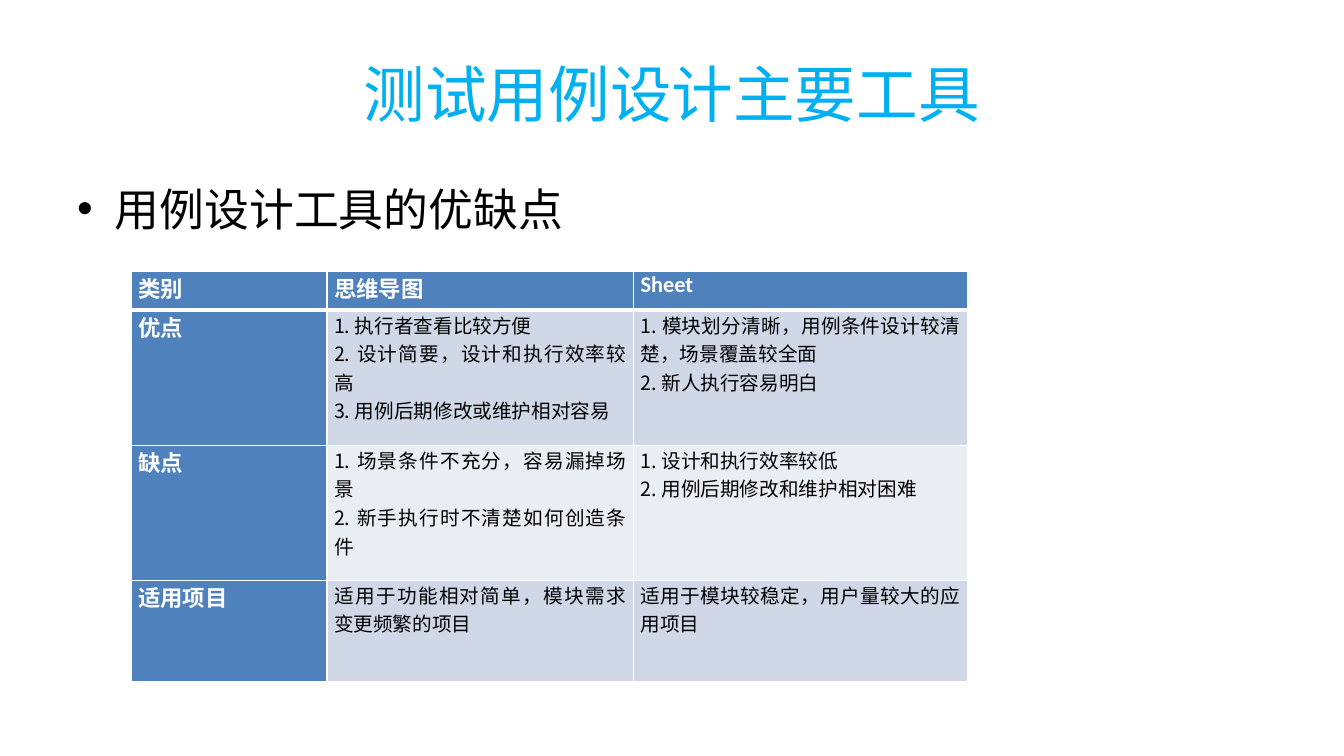
from dataclasses import dataclass

from lxml import etree
from pptx import Presentation
from pptx.dml.color import RGBColor
from pptx.enum.text import MSO_ANCHOR, PP_ALIGN
from pptx.oxml.ns import qn
from pptx.util import Pt

MIDDLE, TOP = MSO_ANCHOR.MIDDLE, MSO_ANCHOR.TOP
LEFT, CENTER, JUSTIFY = PP_ALIGN.LEFT, PP_ALIGN.CENTER, PP_ALIGN.JUSTIFY

TITLE = "测试用例设计主要工具"
POINT = "用例设计工具的优缺点"
HEADS = ["类别", "思维导图", "Sheet"]
ROWS = [
    ("优点",
     ["1. 执行者查看比较方便",
      "2. 设计简要，设计和执行效率较高",
      "3. 用例后期修改或维护相对容易"],
     ["1. 模块划分清晰，用例条件设计较清楚，场景覆盖较全面",
      "2. 新人执行容易明白"]),
    ("缺点",
     ["1. 场景条件不充分，容易漏掉场景",
      "2. 新手执行时不清楚如何创造条件"],
     ["1. 设计和执行效率较低",
      "2. 用例后期修改和维护相对困难"]),
    ("适用项目",
     ["适用于功能相对简单，模块需求变更频繁的项目"],
     ["适用于模块较稳定，用户量较大的应用项目"]),
]

SLIDE = (960, 540)
TITLE_BOX = (48, 21.6, 864, 90)
POINT_BOX = (48, 126, 864, 50)
TABLE_AT = (93.6, 193.7)
WIDTHS = [140, 219, 238.5]
HEIGHTS = [28, 96.5, 96.5, 72]
INDENT = 27
PAD = 5.1


@dataclass(frozen=True)
class Theme:
    cjk: str = "Noto Sans CJK SC"
    latin: str = "Calibri"
    title: str = "00B0F0"
    text: str = "000000"
    light: str = "FFFFFF"
    head: str = "4F81BD"
    bands: tuple = ("D0D8E8", "E9EDF4")
    title_size: int = 44
    point_size: int = 32
    head_size: int = 16
    cell_size: int = 14
    rule: int = 1
    head_rule: int = 3


THEME = Theme()


def add_run(para, text, size, color, latin=THEME.cjk, bold=False):
    run = para.add_run()
    run.text = text
    font = run.font
    font.size, font.bold, font.name = Pt(size), bold, latin
    font.color.rgb = RGBColor.from_string(color)
    east = etree.SubElement(run._r.get_or_add_rPr(), qn("a:ea"))
    east.set("typeface", THEME.cjk)


def place(shape, box):
    shape.left, shape.top, shape.width, shape.height = map(Pt, box)


def add_title(slide):
    title = slide.shapes.title
    place(title, TITLE_BOX)
    frame = title.text_frame
    frame.vertical_anchor = MIDDLE
    para = frame.paragraphs[0]
    para.alignment = CENTER
    add_run(para, TITLE, THEME.title_size, THEME.title)


def add_point(slide):
    frame = slide.shapes.add_textbox(*map(Pt, POINT_BOX)).text_frame
    frame.word_wrap = True
    para = frame.paragraphs[0]
    props = para._p.get_or_add_pPr()
    props.set("marL", str(Pt(INDENT)))
    props.set("indent", str(-Pt(INDENT)))
    etree.SubElement(props, qn("a:buFont")).set("typeface", "Arial")
    etree.SubElement(props, qn("a:buChar")).set("char", "•")
    add_run(para, POINT, THEME.point_size, THEME.text)


def set_rules(cell, top, bottom):
    """Draw the four cell borders; they must precede the fill in the XML."""
    props = cell._tc.get_or_add_tcPr()
    sides = {"L": THEME.rule, "R": THEME.rule, "T": top, "B": bottom}
    for spot, (side, width) in enumerate(sides.items()):
        line = etree.Element(qn(f"a:ln{side}"), w=str(Pt(width)))
        fill = etree.SubElement(line, qn("a:solidFill"))
        etree.SubElement(fill, qn("a:srgbClr")).set("val", THEME.light)
        props.insert(spot, line)


def fill_cell(cell, lines, row, col):
    header = row == 0 or col == 0
    color = THEME.head if header else THEME.bands[(row - 1) % 2]
    cell.fill.solid()
    cell.fill.fore_color.rgb = RGBColor.from_string(color)
    set_rules(cell, THEME.head_rule if row == 1 else THEME.rule,
              THEME.head_rule if row == 0 else THEME.rule)
    cell.margin_left = cell.margin_right = Pt(PAD)
    cell.margin_top = cell.margin_bottom = 0
    cell.vertical_anchor = TOP
    frame = cell.text_frame
    for spot, line in enumerate(lines):
        para = frame.add_paragraph() if spot else frame.paragraphs[0]
        para.alignment = JUSTIFY if row else LEFT
        if header:
            add_run(para, line, THEME.head_size, THEME.light, THEME.latin, True)
        else:
            add_run(para, line, THEME.cell_size, THEME.text)


def add_grid(slide):
    rows = [[[head] for head in HEADS]]
    rows += [[[name], *cells] for name, *cells in ROWS]
    box = (*TABLE_AT, sum(WIDTHS), sum(HEIGHTS))
    table = slide.shapes.add_table(len(rows), len(HEADS), *map(Pt, box)).table
    for col, width in zip(table.columns, WIDTHS):
        col.width = Pt(width)
    for row, height in zip(table.rows, HEIGHTS):
        row.height = Pt(height)
    for r, cells in enumerate(rows):
        for c, lines in enumerate(cells):
            fill_cell(table.cell(r, c), lines, r, c)


def main():
    deck = Presentation()
    deck.slide_width, deck.slide_height = map(Pt, SLIDE)
    slide = deck.slides.add_slide(deck.slide_layouts[5])
    add_title(slide)
    add_point(slide)
    add_grid(slide)
    deck.save("out.pptx")


if __name__ == "__main__":
    main()
